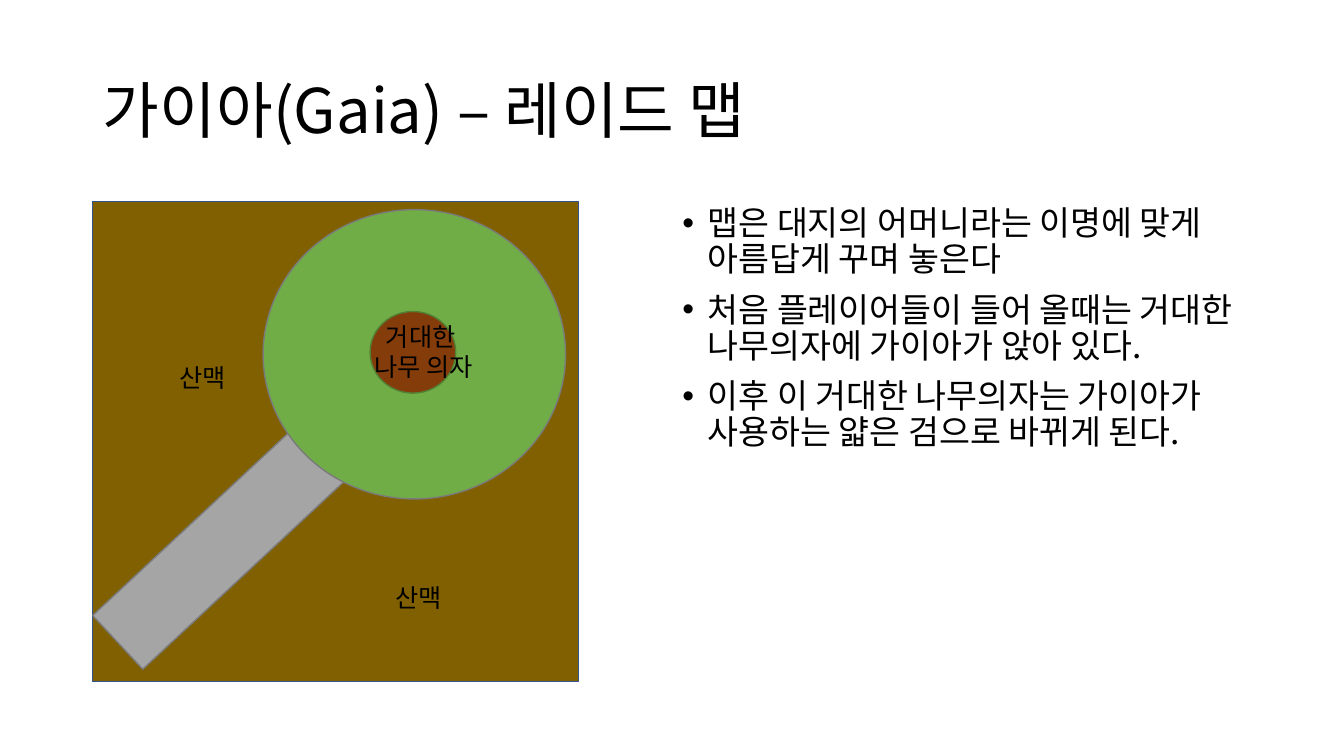
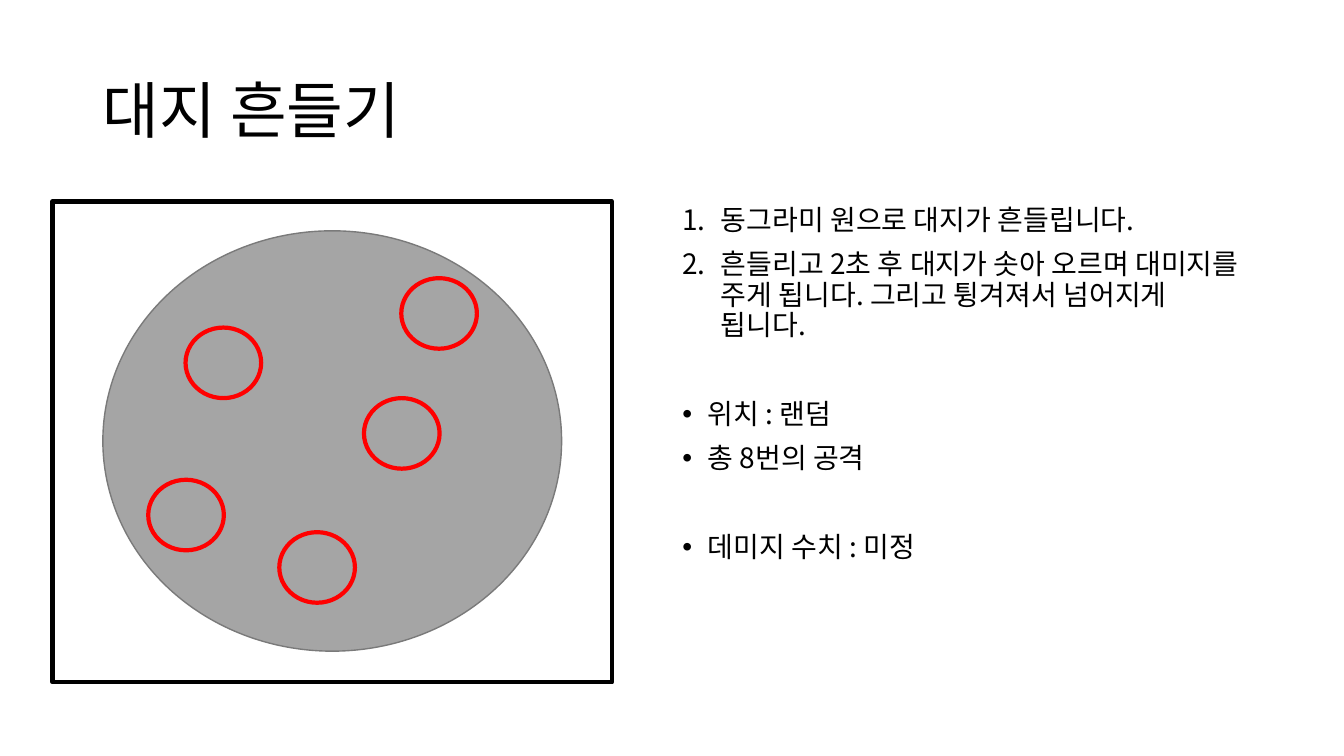
"""Build two slides on the Gaia raid: the map and the ground-shaking attack."""
from dataclasses import dataclass
from typing import Optional

from pptx import Presentation
from pptx import util as u
from pptx.dml import color
from pptx.enum import shapes, text
from pptx.oxml import xmlchemy

FONT = "Noto Sans CJK KR"
COLORS = {
    "ink": "000000",
    "mountain": "806000",
    "mountain_edge": "325491",
    "stone": "A5A5A5",
    "stone_edge": "7A7A7A",
    "grass": "70AD47",
    "wood": "843C0B",
    "wood_edge": "538035",
    "warning": "FF0000",
}
RECT = shapes.MSO_SHAPE.RECTANGLE
OVAL = shapes.MSO_SHAPE.OVAL
SECTION_SPACE = 42


@dataclass(frozen=True)
class Figure:
    kind: int
    left: float
    top: float
    width: float
    height: float
    line: str
    fill: Optional[str] = None
    weight: float = 1
    rotation: float = 0


@dataclass(frozen=True)
class Label:
    content: str
    left: float
    top: float
    width: float
    height: float
    align: int = text.PP_ALIGN.LEFT


@dataclass(frozen=True)
class Item:
    content: str
    numbered: bool = False
    space: float = 10


MAP_FIGURES = (
    Figure(RECT, 0.92, 2, 4.82, 4.76, "mountain_edge", "mountain"),
    Figure(RECT, 1.83, 4.01, 0.73, 2.81, "stone_edge", "stone", rotation=47),
    Figure(OVAL, 2.61, 2.08, 3, 2.87, "stone_edge", "grass"),
    Figure(OVAL, 3.67, 3.09, 0.85, 0.81, "wood_edge", "wood"),
)
MAP_LABELS = (
    Label("산맥", 1.68, 3.55, 0.71, 0.4),
    Label("산맥", 3.82, 5.73, 0.71, 0.4),
    Label("거대한 \n나무 의자", 3.55, 3.14, 1.3, 0.71, text.PP_ALIGN.CENTER),
)
MAP_ITEMS = (
    Item("맵은 대지의 어머니라는 이명에 맞게 아름답게 꾸며 놓은다"),
    Item("처음 플레이어들이 들어 올때는 거대한 나무의자에 가이아가 앉아 있다."),
    Item("이후 이 거대한 나무의자는 가이아가 사용하는 얇은 검으로 바뀌게 된다."),
)
ARENA_FIGURES = (
    Figure(RECT, 0.52, 2, 5.55, 4.77, "ink", weight=3),
    Figure(OVAL, 1.02, 2.29, 4.55, 4.17, "stone_edge", "stone"),
)
TREMOR_SPOTS = ((1.84, 3.25), (1.47, 4.76), (3.61, 3.95), (2.77, 5.28), (3.98, 2.76))
TREMORS = tuple(
    Figure(OVAL, left, top, 0.75, 0.7, "warning", weight=3) for left, top in TREMOR_SPOTS
)
ATTACK_ITEMS = (
    Item("동그라미 원으로 대지가 흔들립니다.", numbered=True),
    Item("흔들리고 2초 후 대지가 솟아 오르며 대미지를 주게 됩니다. "
         "그리고 튕겨져서 넘어지게 됩니다.", numbered=True),
    Item("위치 : 랜덤", space=SECTION_SPACE),
    Item("총 8번의 공격"),
    Item("데미지 수치 : 미정", space=SECTION_SPACE),
)


def rgb(name: str) -> color.RGBColor:
    return color.RGBColor.from_string(COLORS[name])


def add_child(parent, tag: str, **attributes: str) -> None:
    child = xmlchemy.OxmlElement(tag)
    for name, value in attributes.items():
        child.set(name, value)
    parent.append(child)


def format_runs(para, size: float) -> None:
    for span in para.runs:
        span.font.size = u.Pt(size)
        span.font.name = FONT
        span.font.color.rgb = rgb("ink")
        add_child(span.font._element, "a:ea", typeface=FONT)


def add_page(deck, title: str):
    page = deck.slides.add_slide(deck.slide_layouts[5])
    box = page.shapes.title
    box.left, box.top = u.Inches(0.92), u.Inches(0.4)
    box.width, box.height = u.Inches(11.5), u.Inches(1.45)
    frame = box.text_frame
    frame.text = title
    frame.word_wrap = True
    frame.auto_size = text.MSO_AUTO_SIZE.NONE
    frame.vertical_anchor = text.MSO_ANCHOR.MIDDLE
    para = frame.paragraphs[0]
    para.alignment = text.PP_ALIGN.LEFT
    para.line_spacing = 0.9
    format_runs(para, 44)
    return page


def add_figure(page, figure: Figure) -> None:
    shape = page.shapes.add_shape(
        figure.kind, u.Inches(figure.left), u.Inches(figure.top),
        u.Inches(figure.width), u.Inches(figure.height))
    shape.shadow.inherit = False
    shape.rotation = figure.rotation
    if figure.fill:
        shape.fill.solid()
        shape.fill.fore_color.rgb = rgb(figure.fill)
    else:
        shape.fill.background()
    shape.line.color.rgb = rgb(figure.line)
    shape.line.width = u.Pt(figure.weight)


def add_label(page, label: Label) -> None:
    box = page.shapes.add_textbox(
        u.Inches(label.left), u.Inches(label.top),
        u.Inches(label.width), u.Inches(label.height))
    frame = box.text_frame
    frame.text = label.content
    frame.word_wrap = False
    frame.auto_size = text.MSO_AUTO_SIZE.SHAPE_TO_FIT_TEXT
    for para in frame.paragraphs:
        para.alignment = label.align
        format_runs(para, 18)


def add_list(page, items: tuple[Item, ...], width: float, size: float) -> None:
    box = page.shapes.add_textbox(
        u.Inches(6.67), u.Inches(2), u.Inches(width), u.Inches(4.76))
    frame = box.text_frame
    frame.text = "\n".join(item.content for item in items)
    frame.word_wrap = True
    for para, item in zip(frame.paragraphs, items):
        para.line_spacing = 0.9
        para.space_before = u.Pt(item.space)
        indent = u.Inches(0.38 if item.numbered else 0.25)
        properties = para._p.get_or_add_pPr()
        properties.set("marL", str(indent))
        properties.set("indent", str(-indent))
        if item.numbered:
            add_child(properties, "a:buFont", typeface="+mj-lt")
            add_child(properties, "a:buAutoNum", type="arabicPeriod")
        else:
            add_child(properties, "a:buFont", typeface="Arial")
            add_child(properties, "a:buChar", char="•")
        format_runs(para, size)


def main() -> None:
    deck = Presentation()
    deck.slide_width, deck.slide_height = u.Inches(13.33), u.Inches(7.5)

    raid_map = add_page(deck, "가이아(Gaia) – 레이드 맵")
    add_list(raid_map, MAP_ITEMS, 6.31, 24)
    for figure in MAP_FIGURES:
        add_figure(raid_map, figure)
    for label in MAP_LABELS:
        add_label(raid_map, label)

    attack = add_page(deck, "대지 흔들기")
    add_list(attack, ATTACK_ITEMS, 5.75, 20)
    for figure in ARENA_FIGURES + TREMORS:
        add_figure(attack, figure)

    deck.save("out.pptx")


if __name__ == "__main__":
    main()
